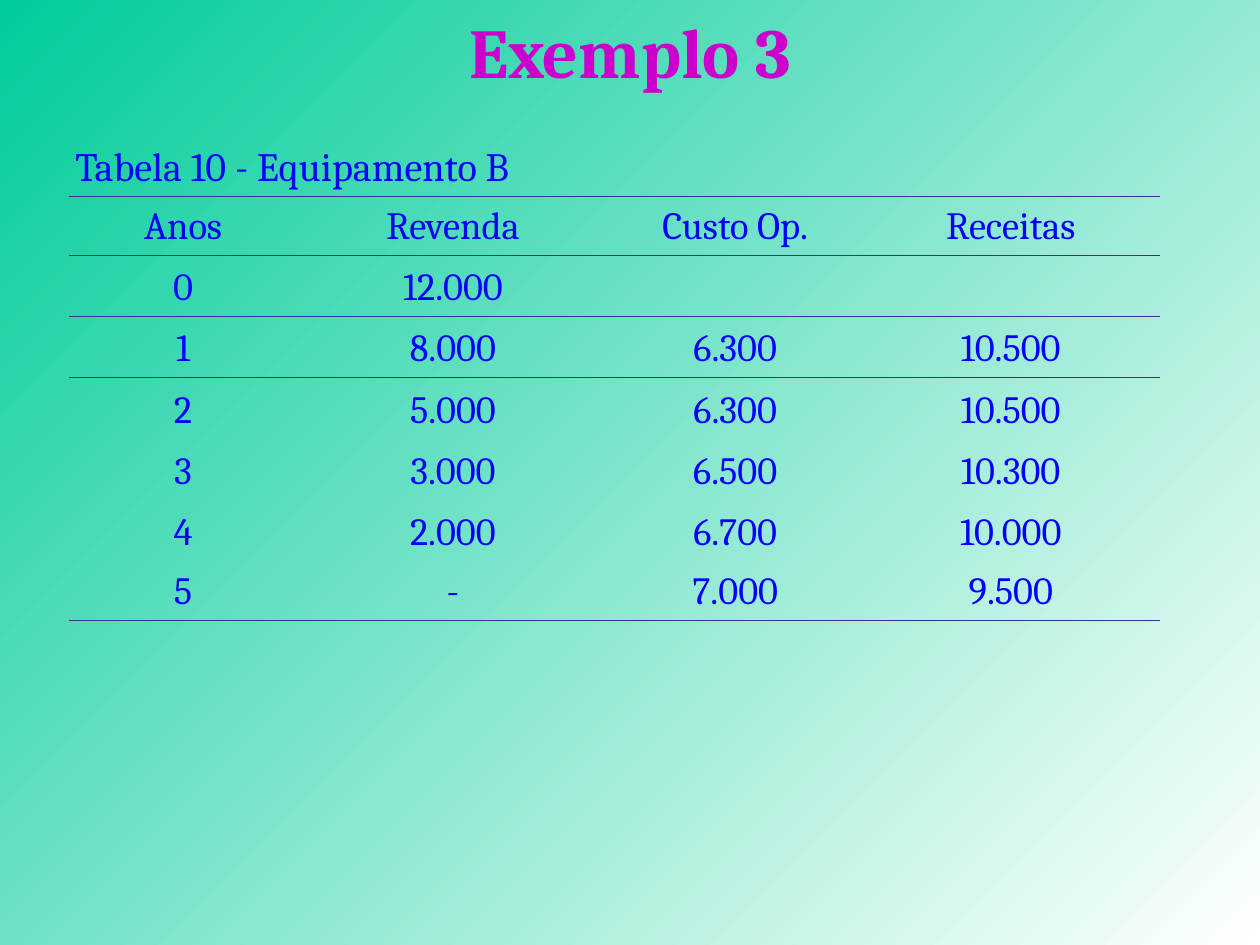
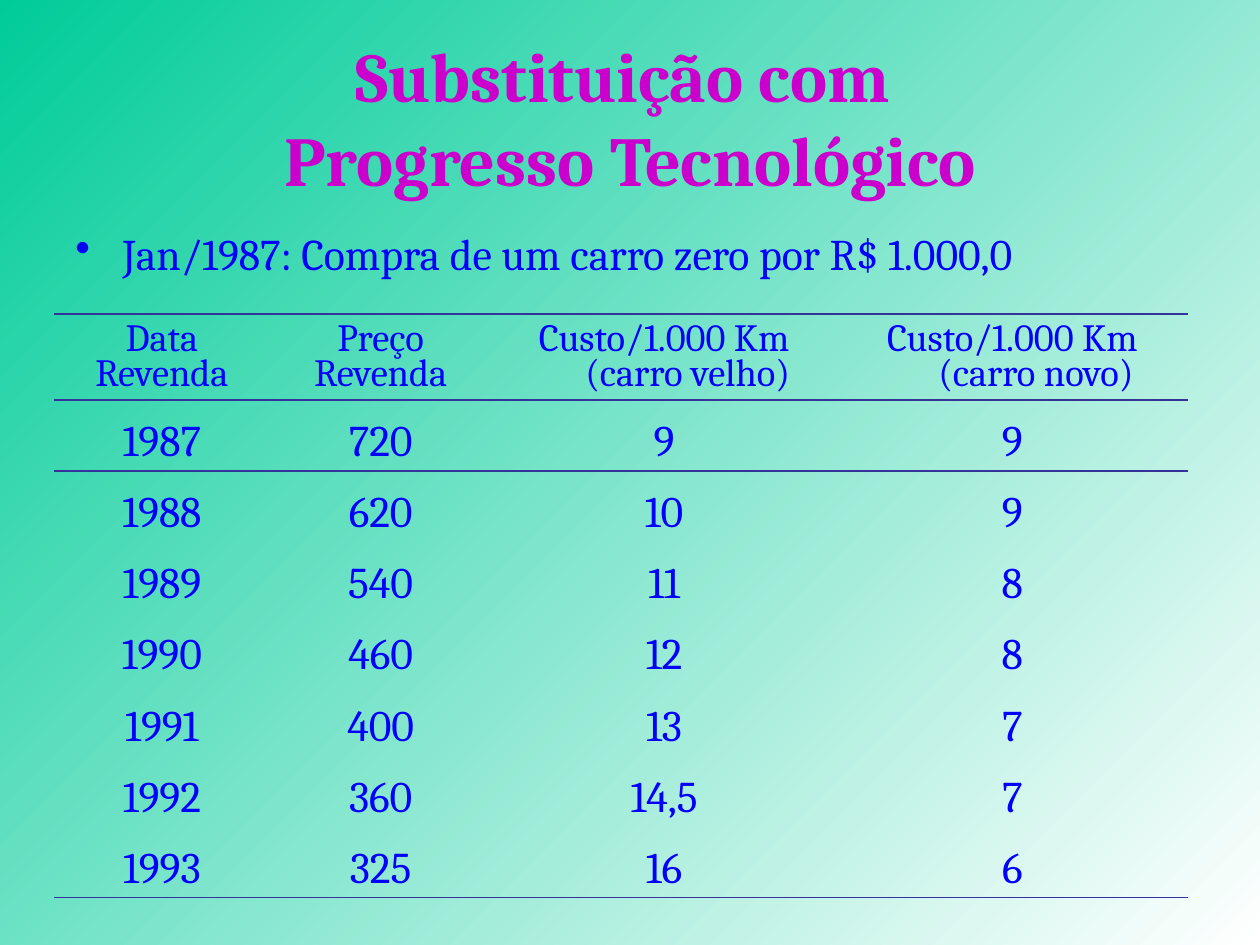
"""Build two slides on equipment replacement: resale, cost and revenue tables."""
import pptx
import pptx.dml.color
import pptx.enum.text
import pptx.oxml
import pptx.oxml.ns
import pptx.util
from lxml import etree

Pt = pptx.util.Pt
ALIGN = pptx.enum.text.PP_ALIGN
ANCHOR = pptx.enum.text.MSO_ANCHOR
qn = pptx.oxml.ns.qn


def rgb(value):
    return pptx.dml.color.RGBColor.from_string(value)


class Deck:
    FONT = "Cambria"
    TITLE = "CC00CC"
    TEXT = "0000FF"
    RULE = "333399"
    GRADIENT = ("00CC99", "FFFFFF")
    NO_STYLE = "{2D5ABB26-0587-4C30-8999-92F81FD0307C}"
    INDENT = 27

    def __init__(self):
        self.prs = pptx.Presentation()
        self.prs.slide_width, self.prs.slide_height = Pt(720), Pt(540)
        fill = self.prs.slide_master.background.fill
        fill.gradient()
        fill.gradient_angle = 315
        for stop, color in zip(fill.gradient_stops, self.GRADIENT):
            stop.color.rgb = rgb(color)

    def run(self, p, text, size, color=TEXT, bold=False):
        r = p.add_run()
        r.text = text
        r.font.name, r.font.size, r.font.bold = self.FONT, Pt(size), bold
        r.font.color.rgb = rgb(color)

    def hang(self, p):
        pPr = p._p.get_or_add_pPr()
        pPr.set("marL", str(Pt(self.INDENT)))
        pPr.set("indent", str(-Pt(self.INDENT)))
        return pPr

    def slide(self, lines, top, height):
        self.s = self.prs.slides.add_slide(self.prs.slide_layouts[5])
        sp = self.s.shapes.title
        sp.left, sp.top, sp.width, sp.height = Pt(36), Pt(top), Pt(648), Pt(height)
        tf = sp.text_frame
        tf.word_wrap = True
        tf.auto_size = pptx.enum.text.MSO_AUTO_SIZE.NONE
        tf.vertical_anchor = ANCHOR.MIDDLE
        p = tf.paragraphs[0]
        p.alignment = ALIGN.CENTER
        for i, line in enumerate(lines):
            if i:
                p.add_line_break()
            self.run(p, line, 40, self.TITLE, True)

    def text(self, text, top, height, size, bullet=False):
        tf = self.s.shapes.add_textbox(Pt(36), Pt(top), Pt(648), Pt(height)).text_frame
        tf.word_wrap = True
        p = tf.paragraphs[0]
        p.alignment = ALIGN.JUSTIFY
        if bullet:
            pPr = self.hang(p)
            color = etree.SubElement(pPr, qn("a:buClr"))
            etree.SubElement(color, qn("a:srgbClr"), val=self.TEXT)
            etree.SubElement(pPr, qn("a:buChar"), char="•")
        self.run(p, text, size)

    def border(self, cell, side, width):
        ln = etree.SubElement(cell._tc.get_or_add_tcPr(), qn("a:ln" + side), w=str(Pt(width)))
        fill = etree.SubElement(ln, qn("a:solidFill"))
        etree.SubElement(fill, qn("a:srgbClr"), val=self.RULE)

    def table(self, left, top, widths, heights, rows, rules, sizes, hanging=False):
        """Draw a table whose rules map a row edge to a line width."""
        frame = self.s.shapes.add_table(len(rows), len(widths), Pt(left), Pt(top),
                                        Pt(sum(widths)), Pt(sum(heights)))
        table = frame.table
        table.first_row = table.horz_banding = False
        table._tbl.tblPr.find(qn("a:tableStyleId")).text = self.NO_STYLE
        for column, width in zip(table.columns, widths):
            column.width = Pt(width)
        for i, (row, height) in enumerate(zip(rows, heights)):
            table.rows[i].height = Pt(height)
            for j, value in enumerate(row):
                cell = table.cell(i, j)
                cell.vertical_anchor = ANCHOR.BOTTOM
                for side, edge in (("T", i), ("B", i + 1)):
                    if edge in rules:
                        self.border(cell, side, rules[edge])
                cell.fill.background()
                if value:
                    self.cell_text(cell.text_frame, value, sizes[i > 0], hanging)

    def cell_text(self, tf, value, size, hanging):
        for k, line in enumerate(value.split("\n")):
            p = tf.add_paragraph() if k else tf.paragraphs[0]
            p.alignment = ALIGN.CENTER
            if hanging:
                self.hang(p)
                p.line_spacing = 0.8
            self.run(p, line, size)


def main():
    deck = Deck()

    deck.slide(["Exemplo 3"], 3.6, 51)
    deck.text("Tabela 10 - Equipamento B", 77.4, 34, 23)
    equipment = [
        ("Anos", "Revenda", "Custo Op.", "Receitas"),
        ("0", "12.000", "", ""),
        ("1", "8.000", "6.300", "10.500"),
        ("2", "5.000", "6.300", "10.500"),
        ("3", "3.000", "6.500", "10.300"),
        ("4", "2.000", "6.700", "10.000"),
        ("5", "-", "7.000", "9.500"),
    ]
    deck.table(39.6, 112.3, [130, 178.5, 144, 171], [33.6] + [35] * 5 + [33.6],
               equipment, {0: 0.75, 1: 0.45, 2: 0.45, 7: 0.75}, (22, 22))

    deck.slide(["Substituição com ", "Progresso Tecnológico"], 21.6, 90)
    cars = [
        ("Data\nRevenda", "Preço\nRevenda",
         "Custo/1.000 Km (carro velho)", "Custo/1.000 Km (carro novo)"),
        ("1987", "720", "9", "9"),
        ("1988", "620", "10", "9"),
        ("1989", "540", "11", "8"),
        ("1990", "460", "12", "8"),
        ("1991", "400", "13", "7"),
        ("1992", "360", "14,5", "7"),
        ("1993", "325", "16", "6"),
    ]
    deck.table(31, 179.3, [123, 127, 197, 201], [49.4] + [40.6] * 7,
               cars, dict.fromkeys((0, 1, 8), 1.08), (22, 25), hanging=True)
    deck.text("Jan/1987: Compra de um carro zero por R$ 1.000,0", 126, 59, 25, bullet=True)

    deck.prs.save("out.pptx")


if __name__ == "__main__":
    main()
